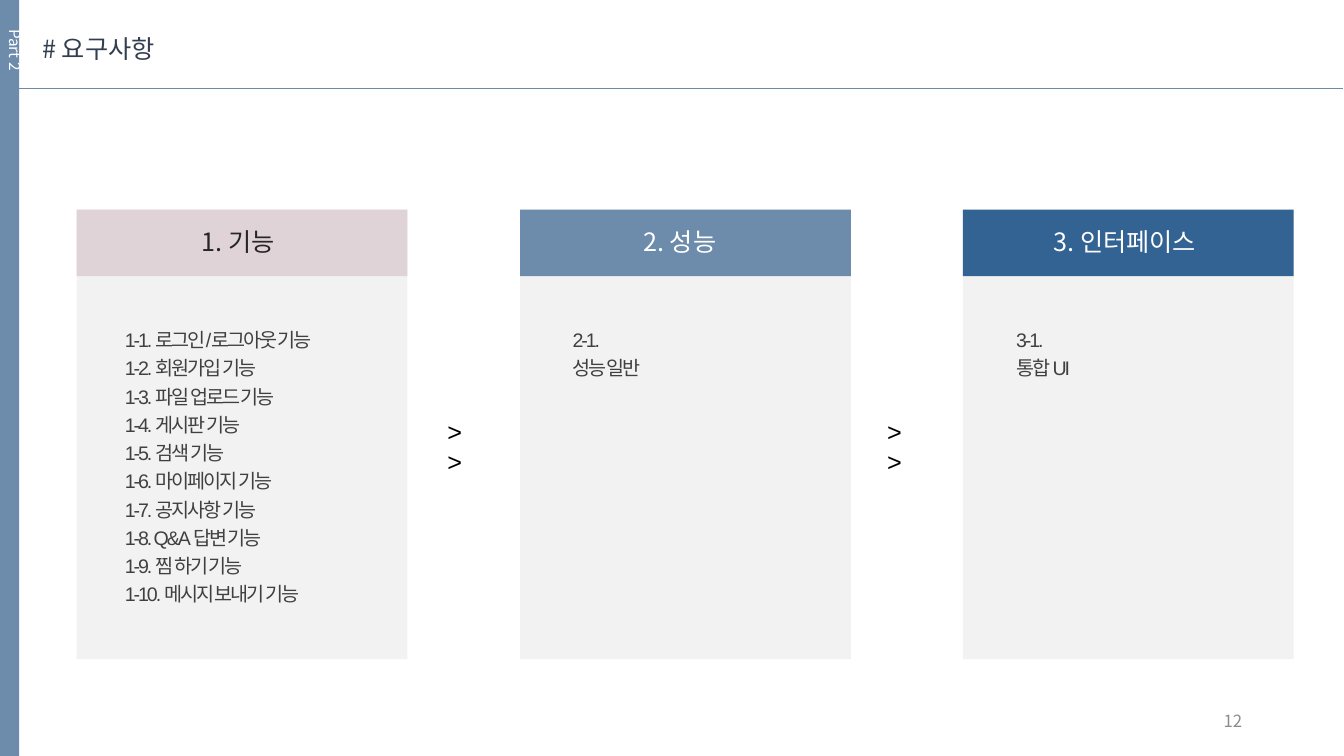
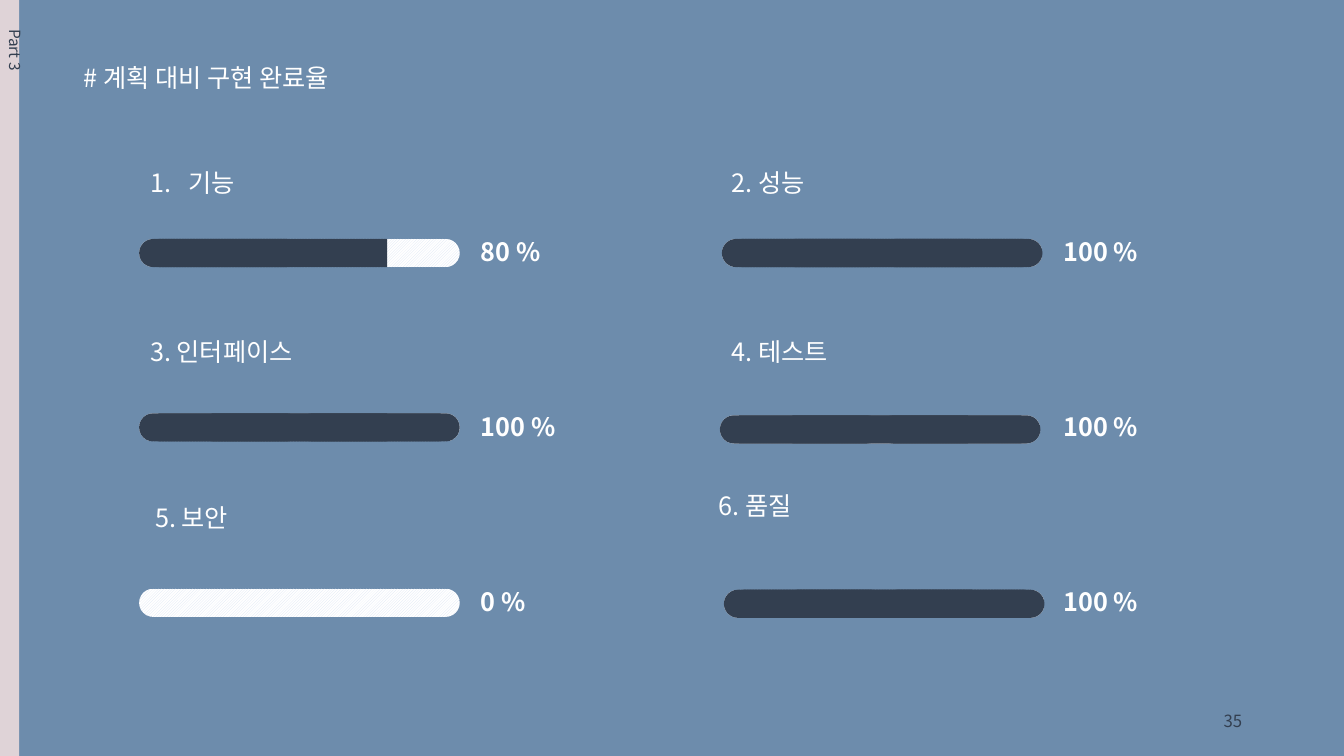
from collections import namedtuple
from dataclasses import dataclass

from lxml.etree import SubElement
from pptx import Presentation
from pptx.dml.color import RGBColor
from pptx.enum.dml import MSO_PATTERN
from pptx.enum.shapes import MSO_CONNECTOR, MSO_SHAPE
from pptx.enum.text import MSO_ANCHOR, MSO_AUTO_SIZE, PP_ALIGN
from pptx.oxml.ns import qn
from pptx.util import Pt

PX = 9144
Box = namedtuple("Box", "x y w h")
Card = namedtuple("Card", "x title title_w color ink list_dx items")
Meter = namedtuple("Meter", "label label_dx label_dy label_w bar_dx bar_dy percent")


@dataclass(frozen=True)
class Theme:
    """Colours, fonts and type sizes of the deck."""
    white: str = "FFFFFF"
    black: str = "000000"
    blue: str = "6D8CAC"
    deep: str = "326393"
    pink: str = "DFD3D7"
    navy: str = "333F50"
    panel: str = "F2F2F2"
    ink: str = "262626"
    body: str = "404040"
    muted: str = "8C8C8C"
    hatch: str = "DAE3F3"
    sans: str = "Noto Sans CJK KR"
    latin: str = "Arial"
    title_size: int = 18
    body_size: int = 14
    page_size: int = 12
    part_size: int = 11


T = Theme()

CARDS = [
    Card(76, "1. 기능", 99, T.pink, T.ink, 38, [
        "1-1. 로그인/로그아웃 기능", "1-2. 회원가입 기능", "1-3. 파일 업로드 기능",
        "1-4. 게시판 기능", "1-5. 검색 기능", "1-6. 마이페이지 기능",
        "1-7. 공지사항 기능", "1-8. Q&A 답변 기능", "1-9. 찜 하기 기능",
        "1-10. 메시지 보내기 기능"]),
    Card(516, "2. 성능 ", 108, T.blue, T.white, 42, ["2-1.", "성능 일반"]),
    Card(955, "3. 인터페이스", 175, T.deep, T.white, 43, ["3-1.", "통합 UI"]),
]

METERS = [
    Meter("기능", 1, -76, 109, 0, 0, 80),
    Meter("2. 성능", 0, -76, 99, 0, 0, 100),
    Meter("3. 인터페이스", 1, -81, 175, 0, 0, 100),
    Meter("4. 테스트", 0, -81, 124, -2, 2, 100),
    Meter("5. 보안", 6, -91, 99, 0, 0, 0),
    Meter("6. 품질", -13, -102, 99, 2, 1, 100),
]


def emu(*lengths):
    """Turn px lengths into EMU."""
    return [n * PX for n in lengths]


def rgb(color):
    """Turn a hex string into a colour."""
    return RGBColor.from_string(color)


def add_block(shapes, box, color, kind=MSO_SHAPE.RECTANGLE):
    """Add a flat shape without outline."""
    sp = shapes.add_shape(kind, *emu(*box))
    sp.shadow.inherit = False
    sp.line.fill.background()
    sp.fill.solid()
    sp.fill.fore_color.rgb = rgb(color)
    if kind == MSO_SHAPE.ROUNDED_RECTANGLE:
        sp.adjustments[0] = 0.5
    return sp


def add_text(s, box, lines, color, size=T.title_size, font=T.sans, bold=None,
             align=None, wrap=False, spacing=None, tracking=None):
    """Add a text box with one paragraph per line."""
    sp = s.shapes.add_textbox(*emu(*box))
    tf = sp.text_frame
    tf.word_wrap = wrap
    tf.auto_size = MSO_AUTO_SIZE.SHAPE_TO_FIT_TEXT
    for i, line in enumerate(lines):
        p = tf.add_paragraph() if i else tf.paragraphs[0]
        p.alignment = align
        p.line_spacing = spacing
        r = p.add_run()
        r.text = line
        r.font.size = Pt(size)
        r.font.bold = bold
        r.font.name = font
        r.font.color.rgb = rgb(color)
        rpr = r.font._element
        SubElement(rpr, qn("a:ea")).set("typeface", T.sans)
        if tracking is not None:
            rpr.set("spc", str(tracking))
    return sp


def number_first(p):
    """Give a paragraph a hanging automatic number."""
    ppr = p._p.get_or_add_pPr()
    ppr.set("marL", str(38 * PX))
    ppr.set("indent", str(-38 * PX))
    SubElement(ppr, qn("a:buFont")).set("typeface", T.sans)
    SubElement(ppr, qn("a:buAutoNum")).set("type", "arabicPeriod")


def add_rule(s, x1, x2, y):
    """Add the thin line under the title."""
    ln = s.shapes.add_connector(MSO_CONNECTOR.STRAIGHT, *emu(x1, y, x2, y))
    ln.line.color.rgb = rgb(T.blue)
    ln.line.width = Pt(0.5)
    SubElement(ln._element.spPr, qn("a:effectLst"))


def add_frame(prs, back, band, part, part_color, title, title_box, title_color,
              page, page_color):
    """Add a slide with its side band, part label, title and page number."""
    s = prs.slides.add_slide(prs.slide_layouts[6])
    s.background.fill.solid()
    s.background.fill.fore_color.rgb = rgb(back)
    add_block(s.shapes, Box(0, 0, 19, 750), band)
    sp = add_text(s, Box(-9, 19, 39, 120), [part], part_color, T.part_size, wrap=True)
    sp.text_frame._txBody.bodyPr.set("vert", "eaVert")
    add_text(s, title_box, [title], title_color)
    sp = add_text(s, Box(942, 695, 300, 40), [page], page_color, T.page_size,
                  align=PP_ALIGN.RIGHT, wrap=True)
    sp.text_frame.auto_size = MSO_AUTO_SIZE.NONE
    sp.text_frame.vertical_anchor = MSO_ANCHOR.MIDDLE
    return s


def add_card(s, box, card):
    """Add a requirement card with header and list."""
    add_block(s.shapes, box, T.panel)
    add_block(s.shapes, box._replace(h=66), card.color)
    left = box.x + (box.w - card.title_w) // 2 - 3
    add_text(s, Box(left, box.y + 12, card.title_w, 40), [card.title], card.ink,
             align=PP_ALIGN.CENTER)
    add_text(s, Box(box.x + card.list_dx, box.y + 108, 262, 10 + 28 * len(card.items)),
             card.items, T.body, T.body_size, T.latin, align=PP_ALIGN.JUSTIFY,
             wrap=True, spacing=1.2, tracking=-150)


def add_bar(s, box, percent):
    """Add a hatched track and the filled ends that cover it."""
    sp = add_block(s.shapes, box, T.white, MSO_SHAPE.ROUNDED_RECTANGLE)
    sp.fill.patterned()
    sp.fill.pattern = MSO_PATTERN.DARK_UPWARD_DIAGONAL
    sp.fill.fore_color.rgb = rgb(T.hatch)
    sp.fill.back_color.rgb = rgb(T.white)
    cap, body, inset = 160, 227, 19
    right = box.x + box.w
    ends = [(box.x, box.x + inset), (right - cap, right - inset - body)]
    count = (percent > 0) + (percent == 100)
    for cap_x, body_x in ends[:count]:
        grp = s.shapes.add_group_shape()
        add_block(grp.shapes, box._replace(x=cap_x, w=cap), T.navy,
                  MSO_SHAPE.ROUNDED_RECTANGLE)
        add_block(grp.shapes, box._replace(x=body_x, w=body), T.navy)


def add_meter(s, box, meter):
    """Add a label, progress bar and percentage around a bar box."""
    sp = add_text(s, Box(box.x + meter.label_dx, box.y + meter.label_dy,
                         meter.label_w, 40), [meter.label], T.white)
    if not meter.label[0].isdigit():
        number_first(sp.text_frame.paragraphs[0])
    add_bar(s, box._replace(x=box.x + meter.bar_dx, y=box.y + meter.bar_dy),
            meter.percent)
    width = 51 + 15 * len(str(meter.percent))
    add_text(s, Box(box.x + 329, box.y - 7, width, 40), [f"{meter.percent} %"],
             T.white, bold=True)


def requirements_slide(prs):
    """Build the slide of requirement cards."""
    s = add_frame(prs, T.white, T.blue, "Part 2", T.white, "# 요구사항",
                  Box(32, 28, 145, 40), T.navy, "12", T.muted)
    add_rule(s, 18, 1332, 88)
    for card in CARDS:
        add_card(s, Box(card.x, 208, 328, 446), card)
    for x in (434, 870):
        add_text(s, Box(x, 408, 43, 40), [">>"], T.black, font=T.latin, wrap=True)


def progress_slide(prs):
    """Build the slide of completion rates."""
    s = add_frame(prs, T.blue, T.pink, "Part 3", T.navy, "# 계획 대비 구현 완료율",
                  Box(73, 57, 298, 40), T.white, "35", T.navy)
    cells = [Box(x, y, 318, 28) for y in (237, 410, 584) for x in (138, 716)]
    for box, meter in zip(cells, METERS):
        add_meter(s, box, meter)


def main():
    """Build and save the deck."""
    prs = Presentation()
    prs.slide_width, prs.slide_height = emu(1333, 750)
    requirements_slide(prs)
    progress_slide(prs)
    prs.save("out.pptx")


if __name__ == "__main__":
    main()
